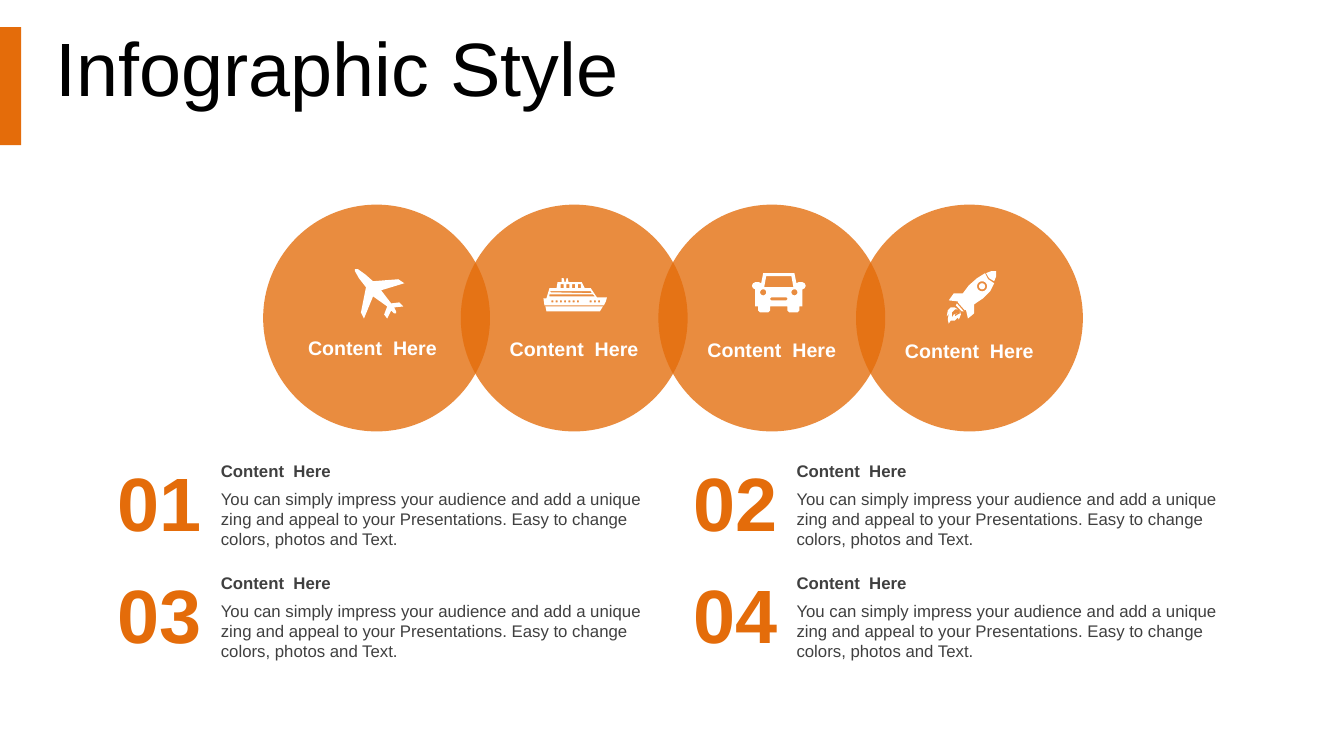
import math

from lxml import etree
from pptx import Presentation
from pptx.dml.color import RGBColor
from pptx.enum import shapes, text
from pptx.oxml.ns import qn
from pptx.util import Inches, Pt

COLORS = {"orange": "E46C0A", "black": "000000", "gray": "404040", "white": "FFFFFF"}
HEADING = "Content  Here"
BODY = ("You can simply impress your audience and add a unique zing and appeal "
        "to your Presentations. Easy to change colors, photos and Text.")


def rectangle(left, top, width, height):
    right, bottom = left + width, top + height
    return [(left, top), (left, bottom), (right, bottom), (right, top)]


def ring(x, y, radius, count=24):
    angles = [2 * math.pi * step / count for step in range(count)]
    return [(x + radius * math.cos(a), y + radius * math.sin(a)) for a in angles]


PLANE = [[
    (4, 3.04), (3.91, 3.05), (3.93, 3.09), (3.93, 3.11), (3.91, 3.11), (3.88, 3.08),
    (3.84, 3.16), (3.81, 3.12), (3.84, 3.04), (3.7, 2.94), (3.61, 3.16), (3.58, 3.1),
    (3.63, 2.85), (3.56, 2.76), (3.52, 2.69), (3.52, 2.67), (3.55, 2.67), (3.62, 2.72),
    (3.7, 2.79), (3.95, 2.77), (4.01, 2.81), (3.78, 2.88), (3.88, 3.01), (3.96, 3)]]

SHIP = [
    [(5.41, 3.04), (5.98, 3.04), (5.95, 3.09), (5.42, 3.09)],
    [(5.62, 2.76), (5.63, 2.76), (5.64, 2.8), (5.77, 2.8), (5.8, 2.86), (5.86, 2.86),
     (5.92, 2.95), (6.02, 2.95), (6.01, 2.99), (5.99, 3.03), (5.4, 3.03), (5.39, 2.96),
     (5.42, 2.96), (5.45, 2.86), (5.52, 2.86), (5.53, 2.8), (5.57, 2.8), (5.57, 2.76),
     (5.59, 2.76), (5.6, 2.8), (5.61, 2.8)],
    [(5.45, 2.92), (5.45, 2.94), (5.9, 2.94), (5.88, 2.92)],
    [(5.46, 2.89), (5.46, 2.9), (5.87, 2.91), (5.86, 2.89)],
    *[rectangle(5.47 + 0.042 * i, 2.98, 0.02, 0.02) for i in (0, 1, 2, 3, 4, 5, 6, 9, 10, 11)],
    *[rectangle(5.56 + 0.057 * i, 2.82, 0.03, 0.04) for i in range(4)]]

CAR = [
    [(7.57, 2.71), (7.88, 2.71), (7.9, 2.81), (7.92, 2.8), (7.96, 2.8), (7.98, 2.81),
     (7.99, 2.83), (7.99, 2.84), (7.98, 2.86), (7.96, 2.87), (7.96, 3.04), (7.93, 3.04),
     (7.93, 3.08), (7.91, 3.1), (7.83, 3.1), (7.81, 3.08), (7.81, 3.04), (7.64, 3.04),
     (7.64, 3.08), (7.62, 3.1), (7.54, 3.1), (7.52, 3.08), (7.52, 3.04), (7.49, 3.04),
     (7.49, 2.87), (7.47, 2.86), (7.46, 2.84), (7.46, 2.83), (7.47, 2.81), (7.49, 2.8),
     (7.53, 2.8), (7.55, 2.81)],
    [(7.6, 2.74), (7.58, 2.85), (7.87, 2.85), (7.85, 2.74)],
    [(7.65, 2.95), (7.64, 2.96), (7.64, 2.97), (7.65, 2.98), (7.8, 2.98), (7.81, 2.97),
     (7.81, 2.96), (7.8, 2.95)],
    ring(7.57, 2.9, 0.03), ring(7.88, 2.9, 0.03)]

ROCKET = [
    [(9.5, 3.07), (9.47, 3.07), (9.44, 3.1), (9.44, 3.15), (9.46, 3.12), (9.49, 3.11),
     (9.47, 3.12), (9.47, 3.14), (9.5, 3.12), (9.52, 3.11), (9.52, 3.08), (9.53, 3.12),
     (9.51, 3.17), (9.5, 3.15), (9.47, 3.18), (9.43, 3.18), (9.41, 3.21), (9.4, 3.17),
     (9.41, 3.11), (9.39, 3.14), (9.4, 3.08), (9.43, 3.05), (9.47, 3.05)],
    [(9.49, 3.01), (9.56, 3.09), (9.54, 3.09), (9.48, 3.03)],
    [(9.77, 2.71), (9.8, 2.77), (9.86, 2.81), (9.82, 2.89), (9.75, 2.96), (9.66, 3.02),
     (9.66, 3.11), (9.6, 3.16), (9.58, 3.07), (9.57, 3.08), (9.5, 3), (9.5, 2.99),
     (9.41, 2.98), (9.46, 2.91), (9.55, 2.91), (9.61, 2.83), (9.69, 2.76)],
    ring(9.74, 2.84, 0.05), ring(9.74, 2.84, 0.03),
    [(9.88, 2.69), (9.88, 2.74), (9.86, 2.79), (9.81, 2.76), (9.78, 2.71), (9.83, 2.69)]]


def paint(shape, color, opacity=100):
    shape.shadow.inherit = False
    shape.fill.solid()
    shape.fill.fore_color.rgb = RGBColor.from_string(COLORS[color])
    shape.line.fill.background()
    if opacity < 100:
        tone = shape.fill._xPr.find(qn("a:solidFill"))[0]
        etree.SubElement(tone, qn("a:alpha"), val=str(opacity * 1000))


def add_block(shape_tree, kind, box, color, opacity=100):
    paint(shape_tree.add_shape(kind, *map(Inches, box)), color, opacity)


def add_icon(page, contours):
    """Draw one white outline; inner contours become holes."""
    outlines = [[(Inches(x), Inches(y)) for x, y in points] for points in contours]
    builder = page.shapes.build_freeform(*outlines[0][0])
    for number, points in enumerate(outlines):
        if number:
            builder.move_to(*points[0])
        builder.add_line_segments(points[1:], close=True)
    paint(builder.convert_to_shape(), "white")


def write(frame, words, size, color, bold=False, align=text.PP_ALIGN.LEFT,
          anchor=text.MSO_ANCHOR.MIDDLE, insets=(0.1, 0.05, 0.1, 0.05),
          fit=text.MSO_AUTO_SIZE.SHAPE_TO_FIT_TEXT):
    frame.word_wrap = True
    frame.auto_size = fit
    frame.vertical_anchor = anchor
    (frame.margin_left, frame.margin_top,
     frame.margin_right, frame.margin_bottom) = map(Inches, insets)
    para = frame.paragraphs[0]
    para.alignment = align
    span = para.add_run()
    span.text = words
    span.font.name = "Arial"
    span.font.size = Pt(size)
    span.font.bold = bold
    span.font.color.rgb = RGBColor.from_string(COLORS[color])


def add_text(shape_tree, box, words, **style):
    write(shape_tree.add_textbox(*map(Inches, box)).text_frame, words, **style)


def add_title(page, words):
    title = page.shapes.title
    title.left, title.top, title.width, title.height = map(Inches, (0.45, 0.29, 12.55, 0.79))
    write(title.text_frame, words, size=54, color="black",
          insets=(0.1, 0.1, 0.1, 0.05), fit=text.MSO_AUTO_SIZE.NONE)
    title.text_frame.paragraphs[0].line_spacing = 0.9


def add_item(page, number, left, top):
    group = page.shapes.add_group_shape().shapes
    insets = (0, 0.05, 0.1, 0.05)
    add_text(group, (left + 1.13, top, 4.45, 0.3), HEADING,
             size=12, color="gray", bold=True, insets=insets)
    add_text(group, (left + 1.13, top + 0.28, 4.45, 0.71), BODY,
             size=12, color="gray", anchor=text.MSO_ANCHOR.TOP, insets=insets)
    add_text(page.shapes, (left, top, 0.94, 0.91), f"{number:02}", size=54,
             color="orange", bold=True, align=text.PP_ALIGN.RIGHT, insets=(0, 0, 0, 0))


def main():
    deck = Presentation()
    deck.slide_width, deck.slide_height = Inches(13.33), Inches(7.5)
    page = deck.slides.add_slide(deck.slide_layouts[5])
    add_block(page.shapes, shapes.MSO_SHAPE.RECTANGLE, (0, 0.27, 0.21, 1.17), "orange")
    add_title(page, "Infographic Style")

    circles = page.shapes.add_group_shape().shapes
    for index in range(4):
        add_block(circles, shapes.MSO_SHAPE.OVAL,
                  (2.61 + 1.96 * index, 2.03, 2.25, 2.25), "orange", opacity=78)
    for index in range(4):
        row, column = divmod(index, 2)
        add_item(page, index + 1, 1.06 + 5.71 * column, 4.52 + 1.11 * row)
    for index, left in enumerate((2.83, 4.83, 6.79, 8.75)):
        add_text(page.shapes, (left, 3.28 + 0.01 * index, 1.73, 0.34), HEADING,
                 size=14, color="white", bold=True, align=text.PP_ALIGN.CENTER)
    for contours in (CAR, ROCKET, SHIP, PLANE):
        add_icon(page, contours)
    deck.save("out.pptx")


if __name__ == "__main__":
    main()
